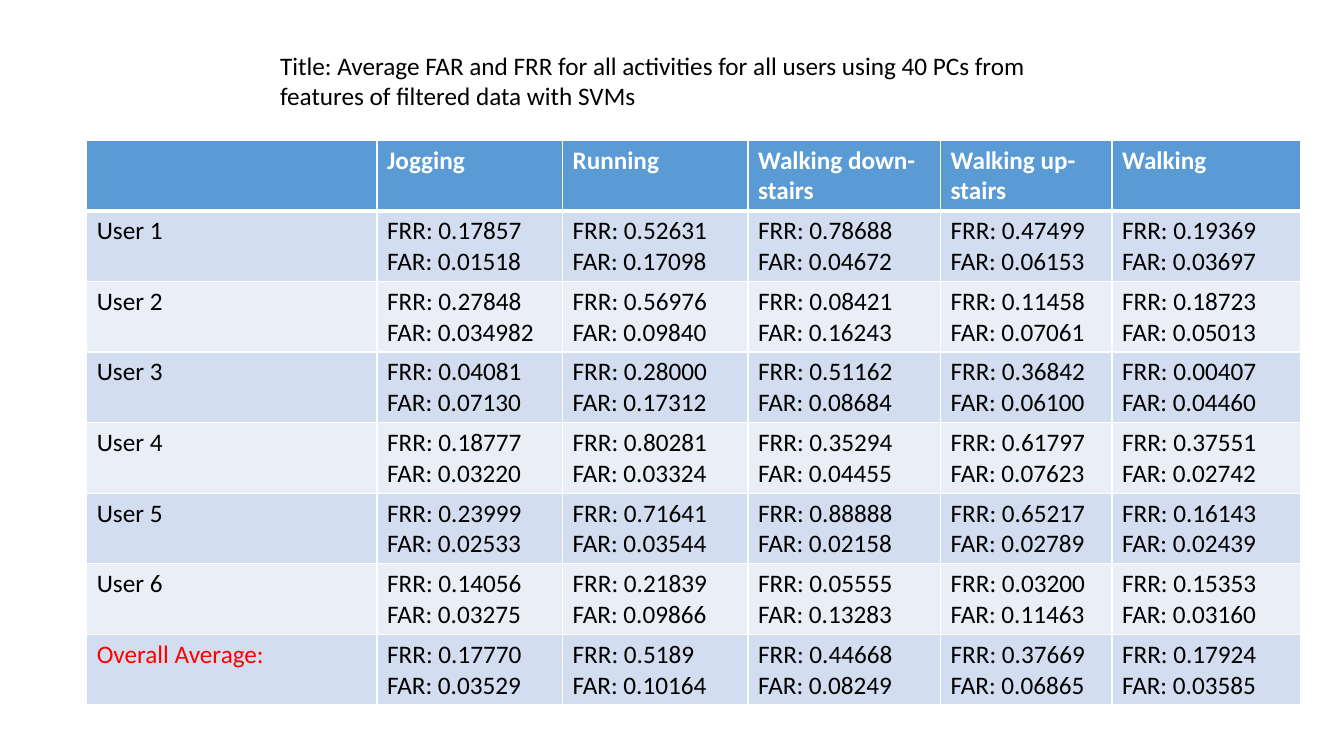
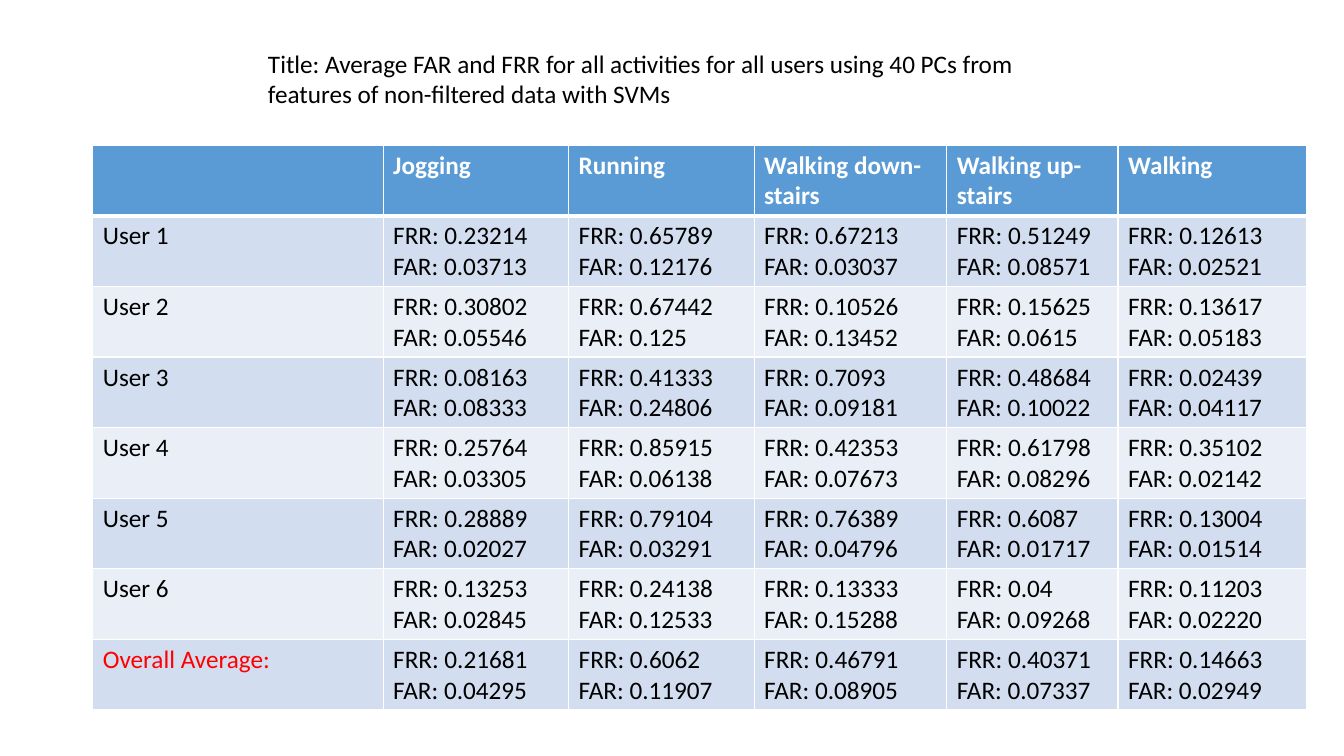
"""Build two slides that tabulate average FAR and FRR per user and activity."""
from dataclasses import dataclass

from lxml import etree
from pptx import Presentation
from pptx import util as u
from pptx.dml.color import RGBColor
from pptx.enum import text
from pptx.oxml import ns


@dataclass(frozen=True)
class Theme:
    font: str = "Calibri"
    size: int = 18
    ink: str = "000000"
    paper: str = "FFFFFF"
    alert: str = "FF0000"
    header: str = "5B9BD5"
    bands: tuple = ("D2DEEF", "EAEFF7")
    rule: float = 1
    header_rule: float = 3


ACTIVITIES = ["Jogging", "Running", "Walking down-stairs", "Walking up-stairs", "Walking"]
LABELS = [f"User {number}" for number in range(1, 7)] + ["Overall Average:"]
COLUMN_WIDTHS = [2.88, 1.84, 1.84, 1.91, 1.7, 1.87]
ROW_HEIGHT = 0.7

FILTERED = [
    "0.17857/0.01518 0.52631/0.17098 0.78688/0.04672 0.47499/0.06153 0.19369/0.03697",
    "0.27848/0.034982 0.56976/0.09840 0.08421/0.16243 0.11458/0.07061 0.18723/0.05013",
    "0.04081/0.07130 0.28000/0.17312 0.51162/0.08684 0.36842/0.06100 0.00407/0.04460",
    "0.18777/0.03220 0.80281/0.03324 0.35294/0.04455 0.61797/0.07623 0.37551/0.02742",
    "0.23999/0.02533 0.71641/0.03544 0.88888/0.02158 0.65217/0.02789 0.16143/0.02439",
    "0.14056/0.03275 0.21839/0.09866 0.05555/0.13283 0.03200/0.11463 0.15353/0.03160",
    "0.17770/0.03529 0.5189/0.10164 0.44668/0.08249 0.37669/0.06865 0.17924/0.03585",
]
NON_FILTERED = [
    "0.23214/0.03713 0.65789/0.12176 0.67213/0.03037 0.51249/0.08571 0.12613/0.02521",
    "0.30802/0.05546 0.67442/0.125 0.10526/0.13452 0.15625/0.0615 0.13617/0.05183",
    "0.08163/0.08333 0.41333/0.24806 0.7093/0.09181 0.48684/0.10022 0.02439/0.04117",
    "0.25764/0.03305 0.85915/0.06138 0.42353/0.07673 0.61798/0.08296 0.35102/0.02142",
    "0.28889/0.02027 0.79104/0.03291 0.76389/0.04796 0.6087/0.01717 0.13004/0.01514",
    "0.13253/0.02845 0.24138/0.12533 0.13333/0.15288 0.04/0.09268 0.11203/0.02220",
    "0.21681/0.04295 0.6062/0.11907 0.46791/0.08905 0.40371/0.07337 0.14663/0.02949",
]


def set_text(frame, content, *, font, size, color, bold=False):
    """Put each line of the content in a formatted paragraph."""
    for index, line in enumerate(content.split("\n")):
        paragraph = frame.add_paragraph() if index else frame.paragraphs[0]
        paragraph.font.size = u.Pt(size)
        if line:
            run = paragraph.add_run()
            run.text = line
            run.font.name, run.font.size, run.font.bold = font, u.Pt(size), bold
            run.font.color.rgb = RGBColor.from_string(color)


def draw_borders(cell, color, **widths):
    """Draw the cell borders, each keyed by its side."""
    properties = cell._tc.get_or_add_tcPr()
    for index, side in enumerate("LRTB"):
        line = etree.Element(ns.qn(f"a:ln{side}"), w=str(u.Pt(widths[side])))
        fill = etree.SubElement(line, ns.qn("a:solidFill"))
        etree.SubElement(fill, ns.qn("a:srgbClr"), val=color)
        properties.insert(index, line)


class Deck:
    """Hold the style and the current slide."""

    def __init__(self, presentation, theme):
        self.presentation, self.theme, self.slide = presentation, theme, None

    def add_slide(self):
        """Start a blank slide."""
        self.slide = self.presentation.slides.add_slide(self.presentation.slide_layouts[6])

    def label(self, frame, content, color, bold=False):
        """Set text in the font of the theme."""
        set_text(frame, content, font=self.theme.font, size=self.theme.size,
                 color=color, bold=bold)

    def title(self, content, left, top):
        """Add the wrapped title."""
        box = self.slide.shapes.add_textbox(
            u.Inches(left), u.Inches(top), u.Inches(8.13), u.Inches(0.71))
        box.text_frame.word_wrap = True
        box.text_frame.auto_size = text.MSO_AUTO_SIZE.SHAPE_TO_FIT_TEXT
        self.label(box.text_frame, content, self.theme.ink)

    def cell(self, cell, content, row, column):
        """Fill one table cell according to its row and column."""
        theme = self.theme
        is_header, is_average = row == 0, row == len(LABELS)
        cell.fill.solid()
        cell.fill.fore_color.rgb = RGBColor.from_string(
            theme.header if is_header else theme.bands[(row - 1) % 2])
        draw_borders(cell, theme.paper, L=theme.rule, R=theme.rule,
                     T=theme.header_rule if row == 1 else theme.rule,
                     B=theme.header_rule if is_header else theme.rule)
        color = theme.alert if is_average and column == 0 else theme.ink
        self.label(cell.text_frame, content, theme.paper if is_header else color, is_header)

    def table(self, results, left, top):
        """Add the table of rates."""
        rows = [["", *ACTIVITIES]]
        for label, result in zip(LABELS, results):
            pairs = [pair.split("/") for pair in result.split()]
            rows.append([label, *(f"FRR: {frr}\nFAR: {far}" for frr, far in pairs)])
        table = self.slide.shapes.add_table(
            len(rows), len(COLUMN_WIDTHS), u.Inches(left), u.Inches(top),
            u.Inches(sum(COLUMN_WIDTHS)), u.Inches(ROW_HEIGHT * len(rows))).table
        for column, width in zip(table.columns, COLUMN_WIDTHS):
            column.width = u.Inches(width)
        for row_index, row in enumerate(rows):
            table.rows[row_index].height = u.Inches(ROW_HEIGHT)
            for column_index, content in enumerate(row):
                self.cell(table.cell(row_index, column_index), content, row_index, column_index)


def main():
    """Build and save the presentation."""
    presentation = Presentation()
    presentation.slide_width, presentation.slide_height = u.Inches(13.33), u.Inches(7.5)
    deck = Deck(presentation, Theme())
    for data_name, results, title_at, table_at in (
        ("filtered", FILTERED, (2.68, 0.45), (0.86, 1.39)),
        ("non-filtered", NON_FILTERED, (2.56, 0.43), (0.92, 1.44)),
    ):
        deck.add_slide()
        deck.title("Title: Average FAR and FRR for all activities for all users using 40 PCs "
                   f"from features of {data_name} data with SVMs", *title_at)
        deck.table(results, *table_at)
    presentation.save("out.pptx")


main()
